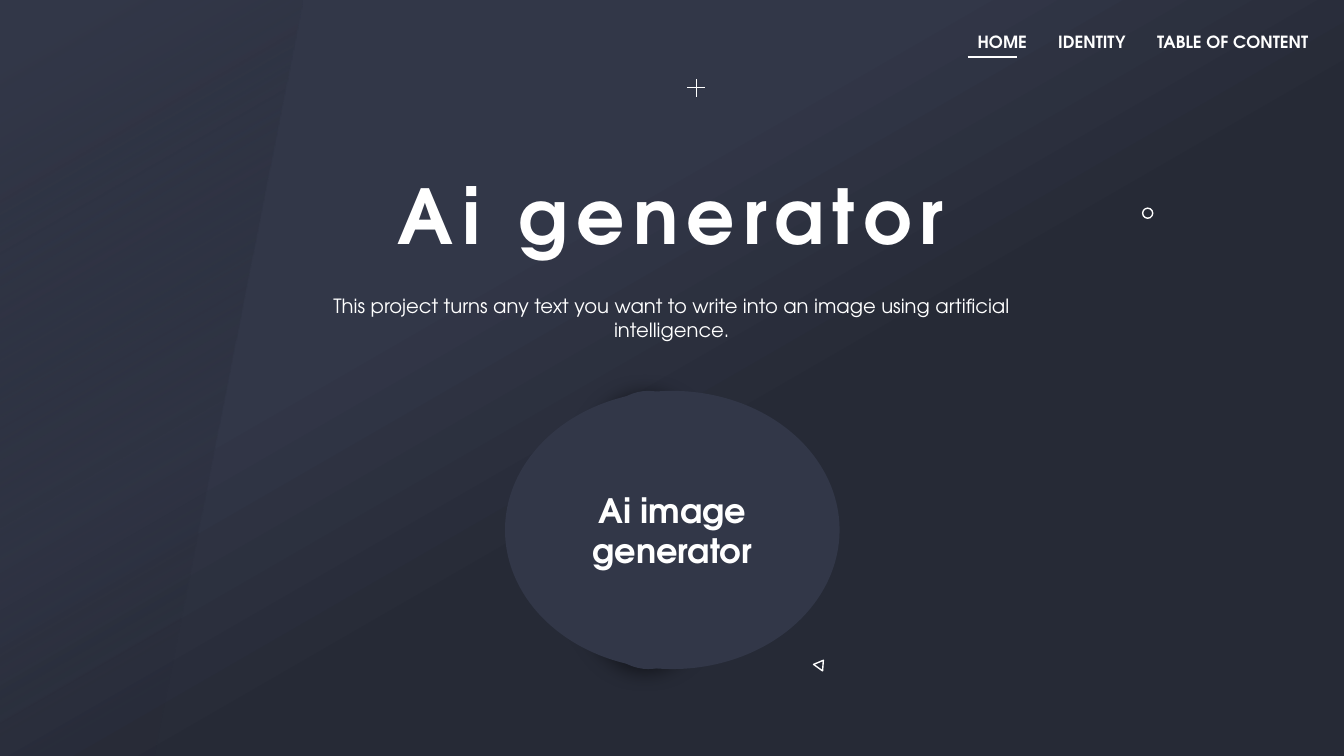
from lxml import etree
from pptx import Presentation
from pptx.dml.color import RGBColor
from pptx.enum.shapes import MSO_CONNECTOR, MSO_SHAPE
from pptx.enum.text import MSO_ANCHOR, MSO_AUTO_SIZE, PP_ALIGN
from pptx.oxml.ns import qn
from pptx.util import Pt

LEFT, CENTER = PP_ALIGN.LEFT, PP_ALIGN.CENTER
MIDDLE = MSO_ANCHOR.MIDDLE
GROW = MSO_AUTO_SIZE.SHAPE_TO_FIT_TEXT
OVAL, TRIANGLE = MSO_SHAPE.OVAL, MSO_SHAPE.ISOSCELES_TRIANGLE
STRAIGHT = MSO_CONNECTOR.STRAIGHT

# Content: all lengths in points
W, H = 960, 540
NAV = [("HOME", 691.2, 50.4), ("IDENTITY", 748.8, 62.6),
       ("TABLE OF CONTENT", 819.4, 123.8)]
TITLE = "Ai generator"
INTRO = ("This project turns any text you want to write into an image "
         "using artificial intelligence.")
BADGE = "Ai image generator"
SIDE_PANEL = [(0, 0), (216, 0), (110.2, H), (0, H)]
PLUS = (497.5, 62.8, 6.4)  # centre x, centre y, arm

THEME = {
    "font": "TeX Gyre Adventor",
    "white": "FFFFFF", "slate": "323748", "night": "262A36", "shadow": "000000",
    "nav": 12, "title": 54, "intro": 14, "badge": 24,
}


def rgb(name):
    return RGBColor.from_string(THEME[name])


def gradient(fill, stops, angle=60):
    fill.gradient()
    fill.gradient_angle = 360 - angle
    for stop, (color, position) in zip(fill.gradient_stops, stops):
        stop.color.rgb = rgb(color)
        stop.position = position


def write(tf, text, size, bold=False, align=LEFT, spacing=0):
    p = tf.paragraphs[0]
    p.alignment = align
    r = p.add_run()
    r.text = text
    r.font.name, r.font.size, r.font.bold = THEME["font"], Pt(THEME[size]), bold
    r.font.color.rgb = rgb("white")
    if spacing:
        r.font._element.set("spc", str(spacing * 100))


def text_box(x, y, w, h, text, size, wrap=False, **fmt):
    tf = s.shapes.add_textbox(Pt(x), Pt(y), Pt(w), Pt(h)).text_frame
    tf.word_wrap = wrap
    tf.auto_size = GROW
    write(tf, text, size, **fmt)


def line(x1, y1, x2, y2, width):
    c = s.shapes.add_connector(STRAIGHT, Pt(x1), Pt(y1), Pt(x2), Pt(y2))
    c.line.color.rgb = rgb("white")
    c.line.width = Pt(width)
    etree.SubElement(c._element.spPr, qn("a:effectLst"))


def shape(kind, x, y, w, h, fill=None, rotation=0):
    sp = s.shapes.add_shape(kind, Pt(x), Pt(y), Pt(w), Pt(h))
    sp.shadow.inherit = False
    sp.rotation = rotation
    if fill:
        sp.fill.solid()
        sp.fill.fore_color.rgb = rgb(fill)
        sp.line.fill.background()
    else:
        sp.fill.background()
        sp.line.color.rgb = rgb("white")
        sp.line.width = Pt(1)
    return sp


def cast_shadow(sp, blur, dist, angle, alpha):
    effects = sp._element.spPr.find(qn("a:effectLst"))
    outer = etree.SubElement(effects, qn("a:outerShdw"), blurRad=str(Pt(blur)),
                             dist=str(Pt(dist)), dir=str(angle * 60000),
                             algn="ctr", rotWithShape="0")
    color = etree.SubElement(outer, qn("a:srgbClr"), val=THEME["shadow"])
    etree.SubElement(color, qn("a:alpha"), val=str(alpha * 1000))


prs = Presentation()
prs.slide_width, prs.slide_height = Pt(W), Pt(H)
s = prs.slides.add_slide(prs.slide_layouts[6])

# Background and slanted side panel
gradient(s.background.fill, [("slate", 0.35), ("night", 0.57)])
outline = s.shapes.build_freeform(*SIDE_PANEL[0], scale=Pt(1))
outline.add_line_segments(SIDE_PANEL[1:], close=True)
panel = outline.convert_to_shape()
panel.shadow.inherit = False
panel.line.fill.background()
gradient(panel.fill, [("slate", 0.06), ("night", 0.84)])
panel_end = panel._element.spPr.findall(".//" + qn("a:srgbClr"))[-1]
etree.SubElement(panel_end, qn("a:alpha"), val="7000")

# Small ornaments
shape(OVAL, 816.2, 148.7, 7.2, 7.2)
px, py, arm = PLUS
line(px, py - arm, px, py + arm, 0.75)
line(px - arm, py, px + arm, py, 0.75)
shape(TRIANGLE, 582.3, 471, 7.9, 6.5, rotation=35.9)

# Navigation, with the current page underlined
for label, x, w in NAV:
    text_box(x, 19.4, w, 21.8, label, "nav", bold=True)
home_x = NAV[0][1]
line(home_x, 40.8, home_x + 35, 40.8, 1.5)

# Title and introduction
text_box(271, 117.4, 417, 72.7, TITLE, "title", bold=True, align=CENTER, spacing=6)
text_box(202.4, 206.6, 555, 41.2, INTRO, "intro", wrap=True, align=CENTER)

# Round badge over a narrow oval that casts the shadow
cast_shadow(shape(OVAL, 406.1, 279.2, 113.8, 198.7, "slate"), 15, 3, 135, 50)
badge = shape(OVAL, 360.7, 279.2, 239, 198.7, "slate")
badge.text_frame.word_wrap = True
badge.text_frame.vertical_anchor = MIDDLE
write(badge.text_frame, BADGE, "badge", bold=True, align=CENTER)

prs.save("out.pptx")
